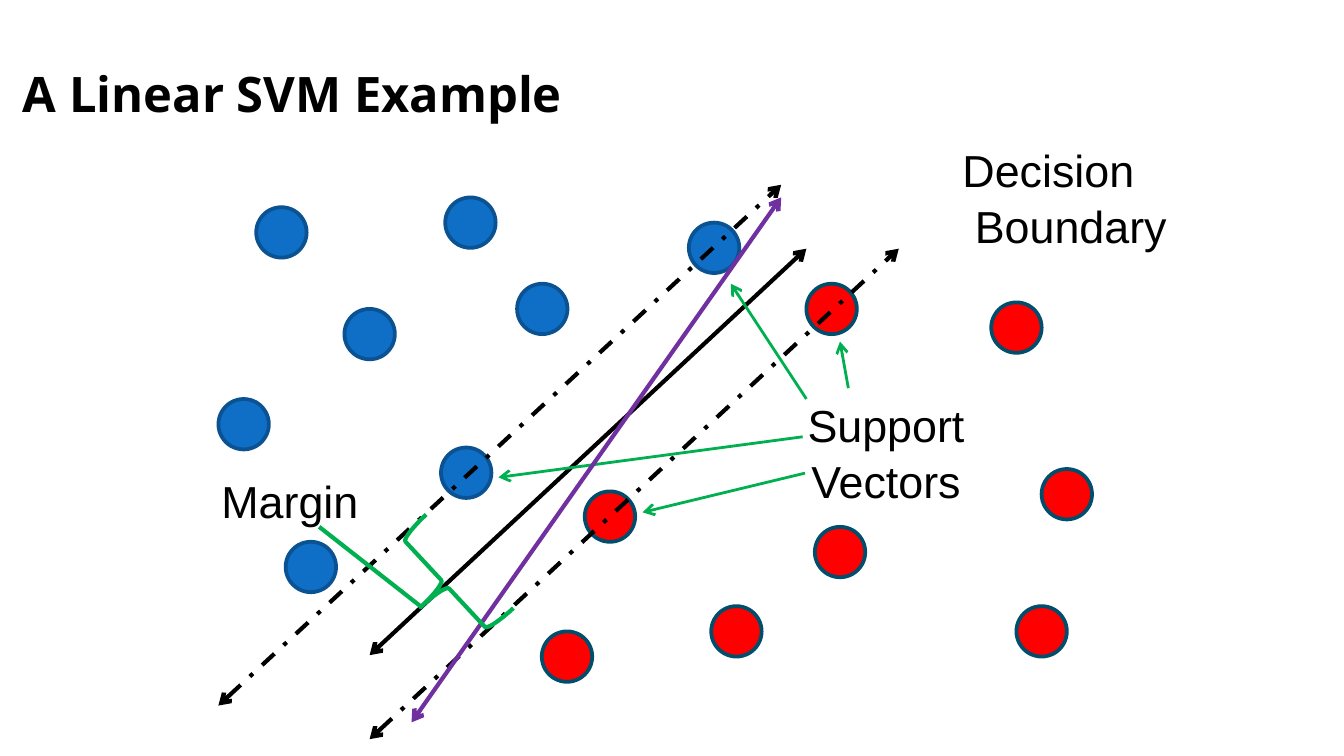
"""Build a slide that explains a linear support vector machine."""
from lxml import etree
from pptx import Presentation
from pptx import util as u
from pptx.dml import color
from pptx.enum import dml, shapes, text
from pptx.oxml import ns

BLUE, RED, GREEN, PURPLE, BLACK = "0F6FC6", "FF0000", "00B050", "7030A0", "000000"
BLUE_EDGE, RED_EDGE = "0B5292", "004E6C"
DOT_SIZE = 27

BLUE_DOTS = [(137.25, 111), (238.5, 105.75), (117, 213.75), (153, 290.25),
             (184.5, 165.5), (369, 119.25), (277, 152), (236.25, 239.75)]
RED_DOTS = [(313.25, 263.25), (544.5, 324.75), (531, 162), (432, 152),
            (381, 324.75), (436.5, 282.25), (290.25, 338.25), (558, 251.25)]
SUPPORT_ARROWS = [((454.5, 208), (450, 183)), ((432, 213.75), (391.5, 152)),
                  ((430, 234), (267, 255.75)), ((431.25, 253.5), (344.25, 274.5))]


def rgb(value):
    """Turn a hex string into a colour."""
    return color.RGBColor.from_string(value)


def assign(target, values):
    """Set each attribute named in a dict of format values."""
    for name, value in values.items():
        setattr(target, name, value)


class SlideBuilder:
    """Hold the text style and the current page."""

    body = {"name": "Arial", "size": u.Pt(24), "bold": False}
    heading = {"name": "Open Sans", "size": u.Pt(26.2), "bold": True}

    def __init__(self, page):
        """Keep the page to draw on."""
        self.page = page

    def fill_text(self, box, lines, style, align, spacing):
        """Fill a text frame with one paragraph per line."""
        for index, line in enumerate(lines):
            para = box.paragraphs[0] if index == 0 else box.add_paragraph()
            assign(para, {"alignment": align, "line_spacing": spacing})
            span = para.add_run()
            span.text = line
            assign(span.font, style)
            span.font.color.rgb = rgb(BLACK)

    def title(self, line, left, top, width, height):
        """Place and format the title placeholder."""
        holder = self.page.shapes.title
        assign(holder, {"left": u.Pt(left), "top": u.Pt(top),
                        "width": u.Pt(width), "height": u.Pt(height)})
        box = holder.text_frame
        assign(box, {"margin_left": 0, "margin_right": 0, "margin_top": u.Pt(3.6),
                     "margin_bottom": 0, "word_wrap": True,
                     "auto_size": text.MSO_AUTO_SIZE.NONE,
                     "vertical_anchor": text.MSO_ANCHOR.BOTTOM})
        self.fill_text(box, [line], self.heading, text.PP_ALIGN.LEFT, 1.0)

    def label(self, lines, left, top, width, height,
              align=text.PP_ALIGN.CENTER, wrap=False):
        """Add a text label that grows with its text."""
        box = self.page.shapes.add_textbox(
            u.Pt(left), u.Pt(top), u.Pt(width), u.Pt(height)).text_frame
        assign(box, {"word_wrap": wrap,
                     "auto_size": text.MSO_AUTO_SIZE.SHAPE_TO_FIT_TEXT})
        self.fill_text(box, lines, self.body, align, 1.05)

    def dot(self, left, top, fill, edge):
        """Add one data point."""
        circle = self.page.shapes.add_shape(
            shapes.MSO_SHAPE.OVAL, u.Pt(left), u.Pt(top), u.Pt(DOT_SIZE), u.Pt(DOT_SIZE))
        circle.shadow.inherit = False
        circle.fill.solid()
        circle.fill.fore_color.rgb = rgb(fill)
        circle.line.color.rgb = rgb(edge)
        circle.line.width = u.Pt(2)

    def brace(self, left, top, width, height, rotation):
        """Add a turned brace."""
        mark = self.page.shapes.add_shape(
            shapes.MSO_SHAPE.LEFT_BRACE, u.Pt(left), u.Pt(top), u.Pt(width), u.Pt(height))
        mark.shadow.inherit = False
        mark.rotation = rotation
        mark.fill.background()
        mark.line.color.rgb = rgb(GREEN)
        mark.line.width = u.Pt(2.25)

    def line(self, start, end, hue, width=2.25, dash=None, ends=()):
        """Add a straight line with open arrowheads at the named ends."""
        link = self.page.shapes.add_connector(
            shapes.MSO_CONNECTOR.STRAIGHT, *(u.Pt(value) for value in start + end))
        link.line.color.rgb = rgb(hue)
        assign(link.line, {"width": u.Pt(width), "dash_style": dash})
        stroke = link.line._get_or_add_ln()
        for name in ends:
            etree.SubElement(stroke, ns.qn("a:" + name), type="arrow")
        etree.SubElement(link._element.spPr, ns.qn("a:effectLst"))


def main():
    """Draw the slide and save the deck."""
    deck = Presentation()
    assign(deck, {"slide_width": u.Pt(720), "slide_height": u.Pt(405)})
    slide = SlideBuilder(deck.slides.add_slide(deck.slide_layouts[5]))
    slide.title("A Linear SVM Example", 12.25, 16.5, 618, 49)

    for dots, fill, edge in ((BLUE_DOTS, BLUE, BLUE_EDGE), (RED_DOTS, RED, RED_EDGE)):
        for left, top in dots:
            slide.dot(left, top, fill, edge)

    both = ("headEnd", "tailEnd")
    dashed = dml.MSO_LINE.DASH_DOT
    slide.line((198, 351), (432, 133.25), BLACK, ends=both)
    slide.line((198, 396), (481.5, 133.25), BLACK, dash=dashed, ends=both)
    slide.line((117, 378), (418.5, 99), BLACK, dash=dashed, ends=both)

    slide.label(["Decision", " Boundary"], 508.5, 71.25, 125.25, 65.5,
                align=text.PP_ALIGN.LEFT)
    slide.label(["Support", "Vectors"], 425, 208, 99.25, 65.5)
    for start, end in SUPPORT_ARROWS:
        slide.line(start, end, GREEN, width=1.5, ends=("tailEnd",))

    slide.line((220.5, 387), (418.5, 105.75), PURPLE, ends=both)
    slide.brace(220.5, 278.75, 36, 68.5, -43)
    slide.line((171, 282.25), (225.25, 324.75), GREEN)
    slide.label(["Margin"], 103.5, 249, 103.5, 36, wrap=True)
    deck.save("out.pptx")


if __name__ == "__main__":
    main()
